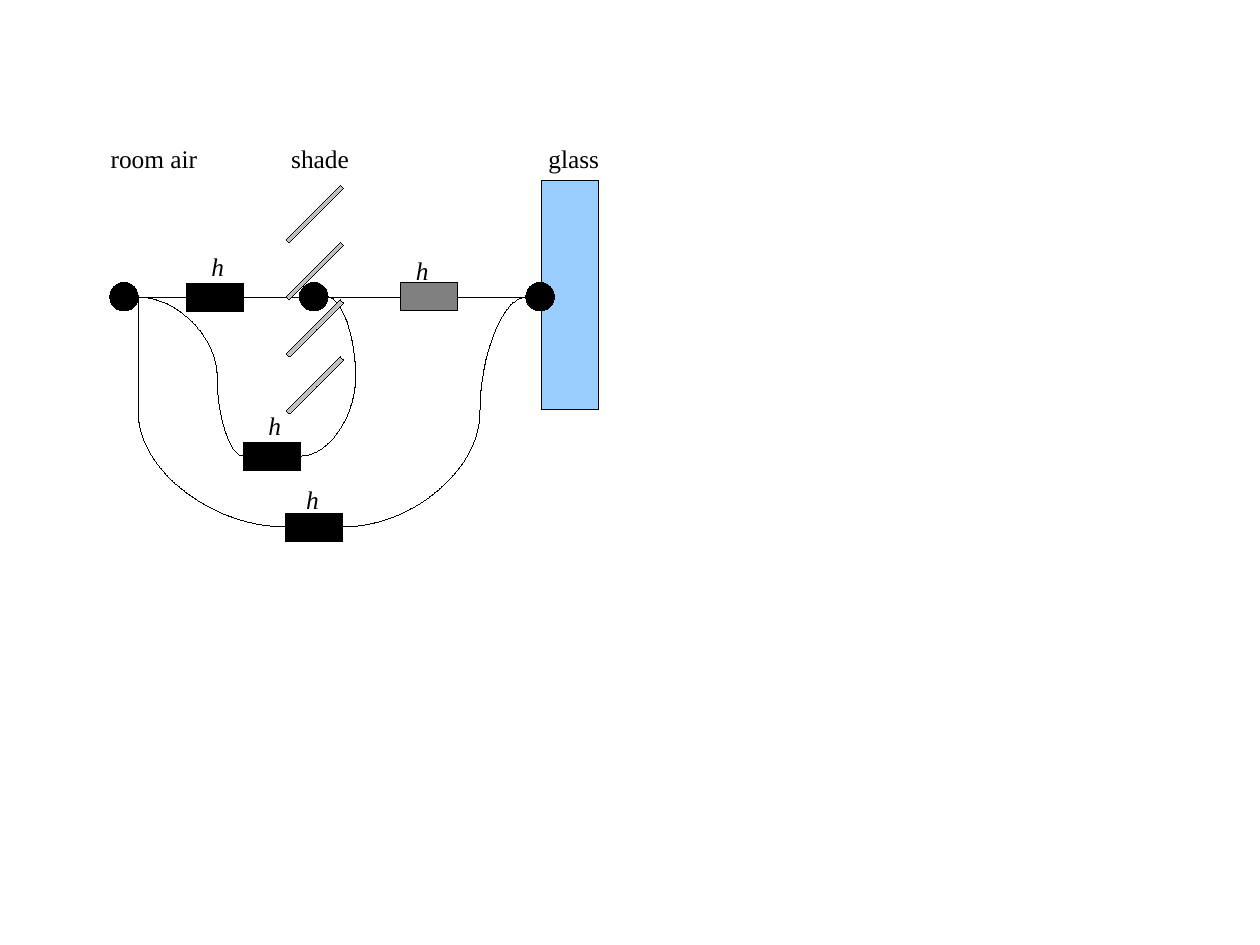
"""Draw the heat transfer network between room air, shade and glass."""
import dataclasses
import typing

import lxml.etree
import pptx
import pptx.dml.color
import pptx.enum.shapes
import pptx.oxml.ns
import pptx.util

Inches = pptx.util.Inches
Kind = pptx.enum.shapes.MSO_SHAPE
Link = pptx.enum.shapes.MSO_CONNECTOR
qn = pptx.oxml.ns.qn

BLACK = "000000"
GRAY = "808080"
SILVER = "C0C0C0"
BLUE = "99CCFF"
HAIR = pptx.util.Pt(0.01)
AXIS = 2.6
DOT = 0.25


@dataclasses.dataclass
class Block:
    left: float
    top: float
    fill: str = BLACK
    width: float = 0.5
    height: float = 0.25
    kind: typing.Any = Kind.RECTANGLE
    angle: float = 0


@dataclasses.dataclass
class Wire:
    start: tuple[float, float]
    end: tuple[float, float]
    bend: float = 0.25


@dataclasses.dataclass
class Label:
    text: str
    left: float
    top: float
    width: float = 0.25
    slant: bool = True


def color(code: str) -> pptx.dml.color.RGBColor:
    return pptx.dml.color.RGBColor.from_string(code)


def dot(left: float) -> Block:
    return Block(left, 2.47, width=DOT, height=DOT, kind=Kind.OVAL)


def edge(item: typing.Any) -> None:
    item.line.color.rgb = color(BLACK)
    item.line.width = HAIR


def draw_block(slide: typing.Any, item: Block) -> None:
    shape = slide.shapes.add_shape(
        item.kind, Inches(item.left), Inches(item.top),
        Inches(item.width), Inches(item.height))
    shape.rotation = item.angle
    shape.shadow.inherit = False
    shape.fill.solid()
    shape.fill.fore_color.rgb = color(item.fill)
    edge(shape)


def draw_wire(slide: typing.Any, item: Wire) -> None:
    wire = slide.shapes.add_connector(
        Link.CURVE, *(Inches(n) for n in item.start + item.end))
    edge(wire)
    props = wire._element.spPr
    lxml.etree.SubElement(props, qn("a:effectLst"))
    guides = props.find(qn("a:prstGeom")).find(qn("a:avLst"))
    value = f"val {round(item.bend * 100000)}"
    lxml.etree.SubElement(guides, qn("a:gd"), name="adj1", fmla=value)


def draw_label(slide: typing.Any, item: Label) -> None:
    box = slide.shapes.add_textbox(
        Inches(item.left), Inches(item.top), Inches(item.width), Inches(0.35))
    box.text_frame.word_wrap = True
    line = box.text_frame.paragraphs[0]
    line.text = item.text
    line.font.name = "Times New Roman"
    line.font.size = pptx.util.Pt(16)
    line.font.italic = item.slant
    line.font.color.rgb = color(BLACK)


BASE = [
    Block(4.74, 1.58, BLUE, height=2),
    dot(4.6),
    dot(0.96),
    Block(1.63, 2.48),
    Block(3.5, 2.47, GRAY),
    Block(2.13, 3.87),
    Block(2.5, 4.49),
]
SPANS = [(1.21, 1.63), (2.13, 2.62), (2.87, 3.5), (4, 4.6)]
WIRES = [Wire((a, AXIS), (b, AXIS)) for a, b in SPANS] + [
    Wire((2.87, AXIS), (2.63, 3.99), -1.01),
    Wire((2.13, 3.99), (1.21, AXIS)),
    Wire((4.6, AXIS), (3, 4.61)),
    Wire((2.5, 4.61), (1.21, AXIS), 1),
]
SLATS = [Block(2.42, 1.85 + 0.5 * i, SILVER, 0.67, 0.04, angle=315)
         for i in range(4)]
LABELS = [
    Label("h", 1.75, 2.15),
    Label("h", 3.54, 2.18, 0.67),
    Label("h", 2.25, 3.54),
    Label("h", 2.58, 4.19),
    Label("room air", 0.87, 1.2, 1, False),
    Label("shade", 2.45, 1.2, 1, False),
    Label("glass", 4.7, 1.2, 1, False),
]


def main() -> None:
    deck = pptx.Presentation()
    deck.slide_width = Inches(28 / 2.54)
    deck.slide_height = Inches(21 / 2.54)
    slide = deck.slides.add_slide(deck.slide_layouts[6])
    for item in BASE:
        draw_block(slide, item)
    for item in WIRES:
        draw_wire(slide, item)
    for item in SLATS + [dot(2.62)]:
        draw_block(slide, item)
    for item in LABELS:
        draw_label(slide, item)
    deck.save("out.pptx")


if __name__ == "__main__":
    main()
